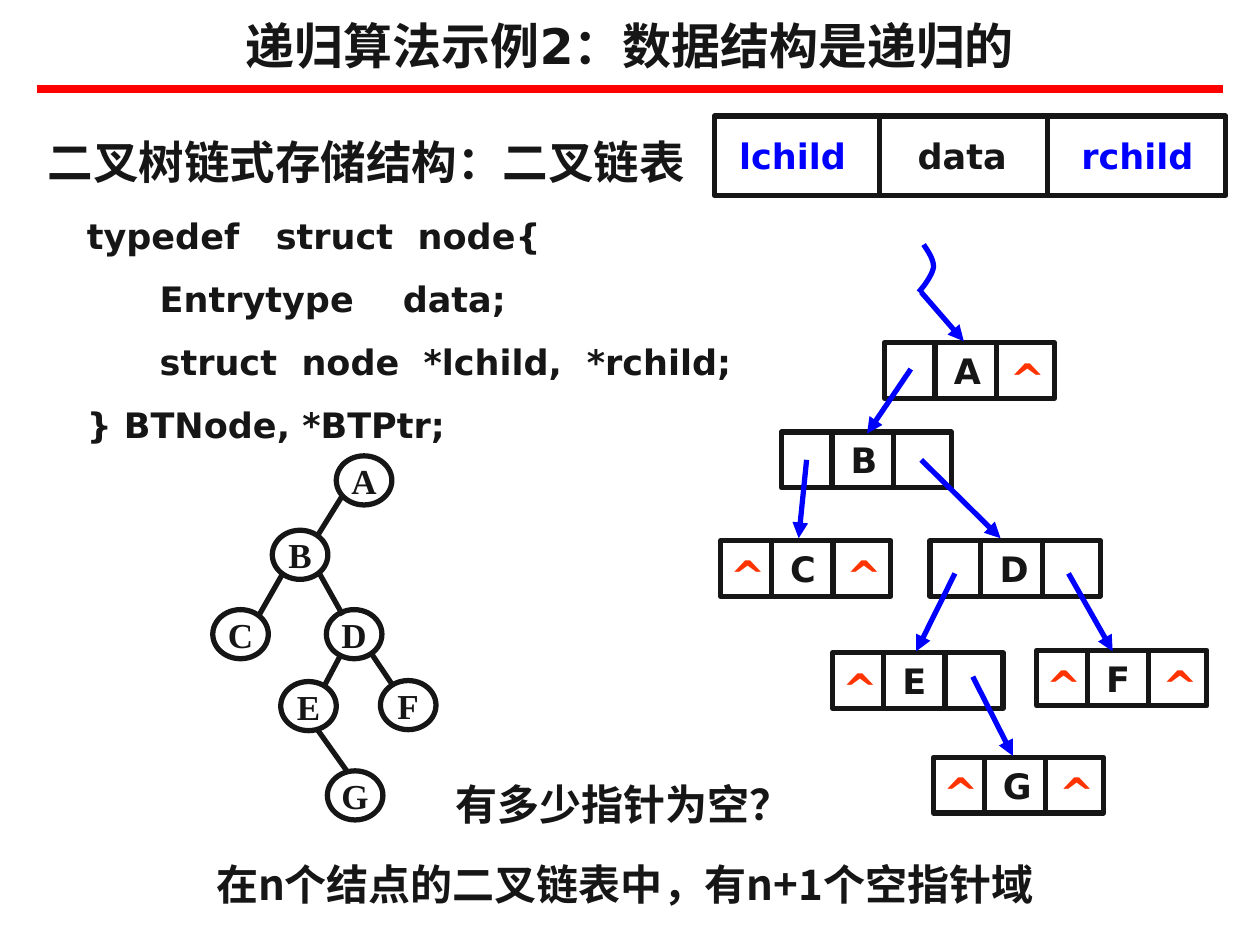
from lxml import etree
from pptx import Presentation
from pptx.dml.color import RGBColor
from pptx.enum import shapes, text
from pptx.oxml import ns
from pptx.util import Cm, Pt

INK = RGBColor(0x16, 0x16, 0x16)
BLUE = RGBColor(0x00, 0x00, 0xFF)
RED = RGBColor(0xFF, 0x00, 0x00)
ORANGE = RGBColor(0xFF, 0x33, 0x00)
SANS, SERIF, CJK = "DejaVu Sans", "Times New Roman", "Noto Sans CJK SC"
CENTER, LEFT = text.PP_ALIGN.CENTER, text.PP_ALIGN.LEFT
MIDDLE, TOP = text.MSO_ANCHOR.MIDDLE, text.MSO_ANCHOR.TOP

RECORD_W, RECORD_H = 3.43, 1.12
DIVIDERS = (1.02, 2.26)
NULL_SIZE, RIGHT_NULL = 1.09, 2.34

CODE = (
    ("typedef\tstruct\tnode{", (3.81, 6.67)),
    ("\tEntrytype\tdata;", (1.47, 6.37)),
    ("\tstruct\tnode\t*lchild,\t*rchild;", (1.47, 4.33, 6.79, 10.08)),
    ("} BTNode, *BTPtr;", ()),
)
TREE_NODES = {
    "A": (6.78, 9.19), "B": (5.49, 10.69), "C": (4.29, 12.29), "D": (6.58, 12.29),
    "E": (5.66, 13.74), "F": (7.67, 13.72), "G": (6.6, 15.54),
}
TREE_EDGES = (
    (6.91, 9.98, 6.4, 10.8), (5.69, 11.58, 5.21, 12.42), (6.45, 11.58, 6.91, 12.4),
    (6.88, 13.18, 6.53, 13.84), (7.49, 13.18, 7.9, 13.79), (6.4, 14.71, 6.99, 15.54),
)
# label, left, top, left pointer is null, right pointer is null
RECORDS = (
    ("A", 17.83, 6.91, False, True), ("B", 15.75, 8.71, False, False),
    ("C", 14.53, 10.9, True, True), ("D", 18.75, 10.9, False, False),
    ("E", 16.79, 13.16, True, False), ("F", 20.9, 13.11, True, True),
    ("G", 18.82, 15.27, True, True),
)
POINTERS = (
    (18.57, 5.89, 19.43, 6.88), (18.36, 7.44, 17.48, 8.74), (16.26, 9.27, 16.1, 10.85),
    (18.57, 9.27, 20.17, 10.85), (19.25, 11.56, 18.47, 13.13),
    (21.54, 11.56, 22.43, 13.13), (19.61, 13.64, 20.42, 15.24),
)
ROOT_CURVES = (
    ((18.62, 4.93), (18.72, 5.08), (18.82, 5.23), (18.82, 5.38)),
    ((18.82, 5.38), (18.8, 5.56), (18.57, 5.84), (18.52, 5.89)),
)


def place(box, left, top, width, height):
    """Move and size a box, in centimetres."""
    box.left, box.top, box.width, box.height = map(Cm, (left, top, width, height))


def set_frame(box, anchor=MIDDLE, insets=(0.25, 0.13, 0.25, 0.13)):
    """Set wrapping, anchor and insets of a box and return its frame."""
    frame = box.text_frame
    frame.word_wrap = True
    frame.auto_size = text.MSO_AUTO_SIZE.NONE
    frame.vertical_anchor = anchor
    (frame.margin_left, frame.margin_top,
     frame.margin_right, frame.margin_bottom) = map(Cm, insets)
    return frame


def style_para(para, size, font, color=INK, align=LEFT):
    """Format a paragraph and its spans in bold."""
    para.alignment = align
    for span in para.runs:
        span.font.size, span.font.bold, span.font.name = Pt(size), True, font
        span.font.color.rgb = color
        etree.SubElement(span.font._element, ns.qn("a:ea"), typeface=CJK)


def set_tabs(para, stops):
    """Give a paragraph left tab stops, in centimetres."""
    tabs = etree.SubElement(para._p.get_or_add_pPr(), ns.qn("a:tabLst"))
    for stop in stops:
        etree.SubElement(tabs, ns.qn("a:tab"), pos=str(Cm(stop)), algn="l")


def write(box, words, size, font, color=INK, align=CENTER, **frame_options):
    """Put one formatted paragraph in a box and return it."""
    frame = set_frame(box, **frame_options)
    frame.text = words
    style_para(frame.paragraphs[0], size, font, color, align)
    return frame.paragraphs[0]


def add_text(page, area, words, size, font, color=INK, **options):
    """Add a text box with one paragraph."""
    box = page.shapes.add_textbox(*map(Cm, area))
    write(box, words, size, font, color, **options)


def add_outline(page, kind, area):
    """Add an unfilled shape with a dark outline."""
    box = page.shapes.add_shape(kind, *map(Cm, area))
    box.shadow.inherit = False
    box.fill.background()
    box.line.color.rgb, box.line.width = INK, Pt(3)
    return box


def add_line(page, ends, color=INK, width=3, arrow=False):
    """Add a straight line, with an arrowhead on request."""
    line = page.shapes.add_connector(shapes.MSO_CONNECTOR.STRAIGHT, *map(Cm, ends))
    line.line.color.rgb, line.line.width = color, Pt(width)
    if arrow:
        etree.SubElement(line.line._get_or_add_ln(), ns.qn("a:tailEnd"), type="triangle")
    etree.SubElement(line._element.spPr, ns.qn("a:effectLst"))


def add_cells(page, area, dividers):
    """Add a rectangle cut into cells by vertical lines."""
    left, top, width, height = area
    box = add_outline(page, shapes.MSO_SHAPE.RECTANGLE, area)
    for offset in dividers:
        add_line(page, (left + offset, top, left + offset, top + height))
    return box


def add_record(page, label, left, top, left_null, right_null):
    """Add a linked-list record with its label and null marks."""
    box = add_cells(page, (left, top, RECORD_W, RECORD_H), DIVIDERS)
    write(box, label, 20, SANS, align=LEFT, insets=(1.4, 0.13, 0, 0.13))
    for offset, is_null in ((0, left_null), (RIGHT_NULL, right_null)):
        if is_null:
            add_text(page, (left + offset, top, NULL_SIZE, NULL_SIZE), "^", 24, SANS,
                     ORANGE, insets=(0, 0.3, 0, 0))


def add_tree(page):
    """Add the binary tree of round nodes."""
    for edge in TREE_EDGES:
        add_line(page, edge)
    for label, (left, top) in TREE_NODES.items():
        box = add_outline(page, shapes.MSO_SHAPE.OVAL, (left, top, 1.12, 0.99))
        write(box, label, 20, SERIF, insets=(0, 0, 0, 0))


def add_root_curve(page, steps=12):
    """Add the curved start of the root pointer."""
    points = []
    for a, b, c, d in ROOT_CURVES:
        for step in range(steps + 1):
            t = step / steps
            points.append(tuple(
                Cm((1 - t) ** 3 * p + 3 * t * (1 - t) ** 2 * q + 3 * t * t * (1 - t) * r + t ** 3 * s)
                for p, q, r, s in zip(a, b, c, d)))
    builder = page.shapes.build_freeform(*points[0])
    builder.add_line_segments(points[1:], close=False)
    curve = builder.convert_to_shape()
    curve.shadow.inherit = False
    curve.fill.background()
    curve.line.color.rgb, curve.line.width = BLUE, Pt(3)


def add_code(page):
    """Add the struct definition."""
    box = page.shapes.add_textbox(*map(Cm, (1.5, 3.94, 14.05, 5.56)))
    frame = set_frame(box, anchor=TOP)
    frame.text = "\n".join(words for words, _ in CODE)
    for para, (_, stops) in zip(frame.paragraphs, CODE):
        style_para(para, 20, SANS)
        para.line_spacing, para.space_before = 1.3, Pt(4.7)
        if stops:
            set_tabs(para, stops)


def add_field_header(page):
    """Add the record layout with its three field names."""
    box = add_cells(page, (14.4, 2.34, 10.31, 1.6), (3.33, 6.71))
    para = write(box, "lchild\tdata\trchild", 20, SANS, BLUE, LEFT,
                 insets=(0.5, 0.13, 0, 0.13))
    set_tabs(para, (3.6, 6.9))
    para.text = ""
    for words, color in (("lchild\t", BLUE), ("data\t", INK), ("rchild", BLUE)):
        span = para.add_run()
        span.text = words
        span.font.size, span.font.bold, span.font.name = Pt(20), True, SANS
        span.font.color.rgb = color


def fill_placeholders(page):
    """Write the title and the heading."""
    title, body = page.shapes.title, page.placeholders[1]
    place(title, 0, 0.05, 25.4, 1.73)
    write(title, "递归算法示例2：数据结构是递归的", 28, SANS)
    place(body, 0.71, 2.13, 23.98, 2.01)
    para = write(body, "二叉树链式存储结构：二叉链表", 26, CJK, align=LEFT, anchor=TOP)
    para.line_spacing, para.space_before = 1.4, Pt(11)
    props = para._p.get_or_add_pPr()
    props.set("marL", "0")
    props.set("indent", "0")
    etree.SubElement(props, ns.qn("a:buNone"))


def main():
    """Build the slide and save it."""
    deck = Presentation()
    deck.slide_width, deck.slide_height = Cm(25.4), Cm(19.05)
    page = deck.slides.add_slide(deck.slide_layouts[1])
    fill_placeholders(page)
    add_line(page, (0.74, 1.8, 24.66, 1.8), RED, 4.5)
    add_code(page)
    add_field_header(page)
    add_tree(page)
    for record in RECORDS:
        add_record(page, *record)
    for pointer in POINTERS:
        add_line(page, pointer, BLUE, arrow=True)
    add_root_curve(page)
    add_text(page, (0.69, 15.52, 23.77, 1.37), "有多少指针为空？", 24, CJK)
    add_text(page, (0.71, 17.12, 23.77, 1.37), "在n个结点的二叉链表中，有n+1个空指针域", 24, CJK)
    deck.save("out.pptx")


if __name__ == "__main__":
    main()
